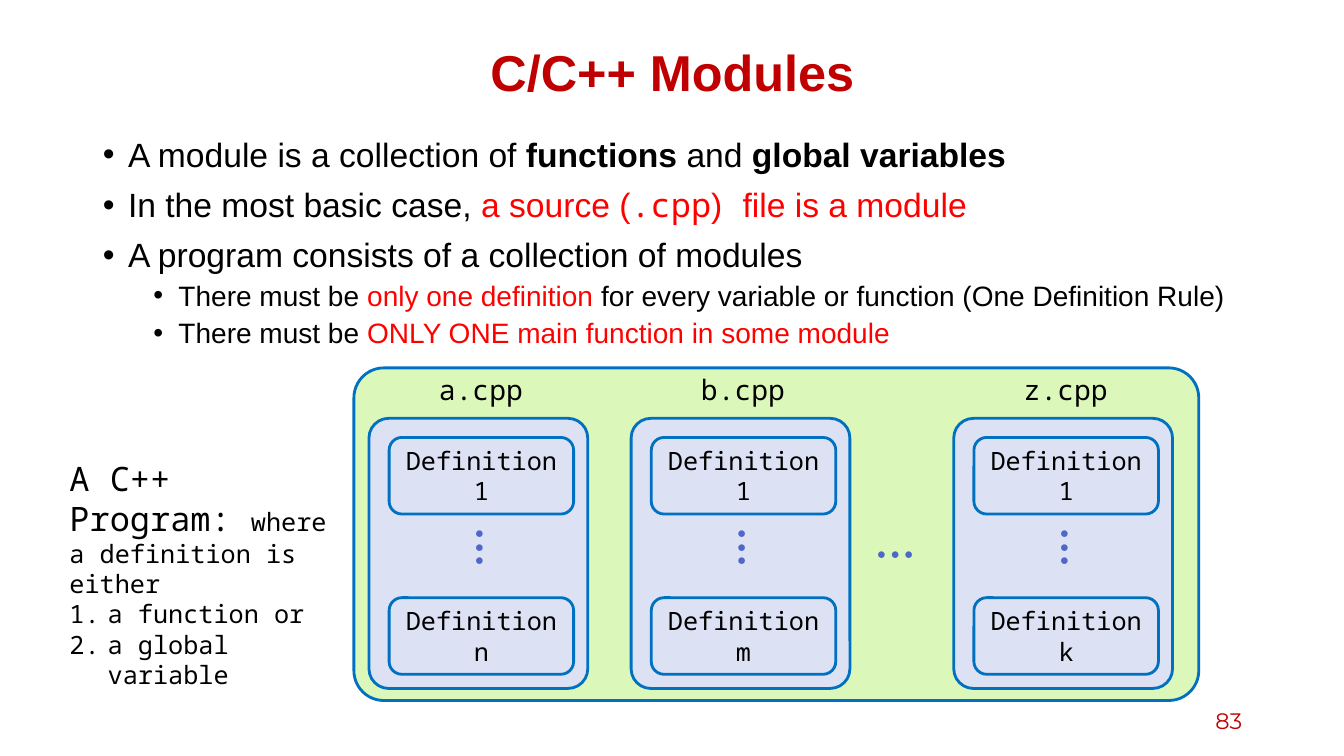
from lxml import etree
from pptx import Presentation
from pptx.dml.color import RGBColor
from pptx.enum import shapes, text
from pptx.oxml.ns import qn
from pptx.util import Inches, Pt

HUE = {"title": "C00000", "ink": "000000", "key": "FF0000", "edge": "0070C0",
       "prog": "DCF7BA", "file": "DCE1F4", "dots": "4E67C8"}
SANS, MONO = "Arial", "Noto Sans Mono"
KEY, BOLD = {"hue": "key"}, {"bold": True}
TITLE = "C/C++ Modules"
BODY = [
    (0, [("A module is a collection of ", {}), ("functions ", BOLD),
         ("and", {}), (" global variables", BOLD)]),
    (0, [("In the most basic case, ", {}), ("a source (", KEY),
         (".cpp", {"hue": "key", "face": MONO}), (")", KEY),
         (" ", {"hue": "key", "face": MONO}), ("file is a module", KEY)]),
    (0, [("A program consists of a collection of modules", {})]),
    (1, [("There must be ", {}), ("only one definition", KEY),
         (" for every variable or function (One Definition Rule)", {})]),
    (1, [("There must be ", {}),
         ("ONLY ONE main function in some module", KEY)]),
]
LEAD = [("A C++ Program: ", {"size": 24}), ("where a definition is either", {})]
KINDS = ["a function or", "a global variable"]
FILES = [("a.cpp", 3.66, "n"), ("b.cpp", 6.26, "m"), ("z.cpp", 9.46, "k")]
DOTS = "● ● ●"
PAGE = "83"
MID, LEFT, RIGHT = (text.PP_ALIGN.CENTER, text.PP_ALIGN.LEFT,
                    text.PP_ALIGN.RIGHT)

deck = Presentation()
deck.slide_width, deck.slide_height = Inches(13.33), Inches(7.5)
slide = deck.slides.add_slide(deck.slide_layouts[1])


def write(para, runs, size=18, face=MONO, hue="ink", bold=False, align=LEFT,
          mark=None, inset=0, hang=0.25, level=0, before=0, lines=None):
    if mark:
        props = para._p.get_or_add_pPr()
        props.set("marL", str(Inches(inset)))
        props.set("indent", str(-Inches(hang)))
        if mark == "1.":
            etree.SubElement(props, qn("a:buAutoNum"), type="arabicPeriod")
        else:
            etree.SubElement(props, qn("a:buFont"), typeface=SANS)
            etree.SubElement(props, qn("a:buChar"), char=mark)
    para.level, para.alignment = level, align
    para.space_before = Pt(before)
    if lines:
        para.line_spacing = lines
    base = {"size": size, "face": face, "hue": hue, "bold": bold}
    for words, diff in [(runs, {})] if isinstance(runs, str) else runs:
        form = {**base, **diff}
        run = para.add_run()
        run.text = words
        run.font.size, run.font.name = Pt(form["size"]), form["face"]
        run.font.bold = form["bold"]
        run.font.color.rgb = RGBColor.from_string(HUE[form["hue"]])


def place(shape, x, y, w, h):
    shape.left, shape.top = Inches(x), Inches(y)
    shape.width, shape.height = Inches(w), Inches(h)


def label(x, y, w, h, runs, grow=True, **form):
    box = slide.shapes.add_textbox(Inches(x), Inches(y), Inches(w), Inches(h))
    frame = box.text_frame
    frame.word_wrap = True
    if grow:
        frame.auto_size = text.MSO_AUTO_SIZE.SHAPE_TO_FIT_TEXT
    else:
        frame.vertical_anchor = text.MSO_ANCHOR.MIDDLE
    write(frame.paragraphs[0], runs, **form)
    return box


def panel(x, y, w, h, fill=None, words=None):
    box = slide.shapes.add_shape(shapes.MSO_SHAPE.ROUNDED_RECTANGLE, Inches(x),
                                 Inches(y), Inches(w), Inches(h))
    box.shadow.inherit = False
    box.line.color.rgb = RGBColor.from_string(HUE["edge"])
    box.line.width = Pt(2)
    if fill:
        box.adjustments[0] = 0.09
        box.fill.solid()
        box.fill.fore_color.rgb = RGBColor.from_string(HUE[fill])
    else:
        box.fill.background()
    if words:
        box.text_frame.word_wrap = True
        box.text_frame.vertical_anchor = text.MSO_ANCHOR.MIDDLE
        write(box.text_frame.paragraphs[0], words, align=MID)


def dots(x, y, turn=0):
    label(x, y, 0.84, 0.29, DOTS, size=11, face=SANS, hue="dots").rotation = turn


head = slide.shapes.title
place(head, 0.92, 0.4, 11.5, 0.7)
head.text_frame.vertical_anchor = text.MSO_ANCHOR.MIDDLE
head.text_frame.auto_size = text.MSO_AUTO_SIZE.NONE
write(head.text_frame.paragraphs[0], TITLE, size=36, face=SANS, hue="title",
      bold=True, align=MID, lines=0.9)

body = slide.placeholders[1]
place(body, 0.92, 1.32, 11.5, 2.3)
frame = body.text_frame
frame.auto_size = text.MSO_AUTO_SIZE.NONE
for i, (level, runs) in enumerate(BODY):
    para = frame.add_paragraph() if i else frame.paragraphs[0]
    write(para, runs, size=20 if level else 24, face=SANS, mark="•",
          inset=0.25 + 0.5 * level, level=level, lines=0.9,
          before=0 if i == 0 else 5 if level else 10)

panel(3.51, 3.65, 8.38, 3.3, "prog")
for name, x, last in FILES:
    panel(x, 4.15, 2.17, 2.68, "file")
    for y, end in [(4.34, "1"), (5.93, last)]:
        panel(x + 0.2, y, 1.83, 0.76, words=f"Definition {end}")
    dots(x + 0.69, 5.43, 90)
    label(x + 0.3, 3.65, 1.62, 0.44, name, size=20, align=MID)
dots(8.6, 5.35)

note = label(0.59, 4.49, 2.98, 1.72, LEAD)
for kind in KINDS:
    write(note.text_frame.add_paragraph(), kind, mark="1.", inset=0.38, hang=0.38)
label(9.42, 6.95, 3, 0.4, PAGE, grow=False, size=16, face="Montserrat",
      hue="title", align=RIGHT)

deck.save("out.pptx")
